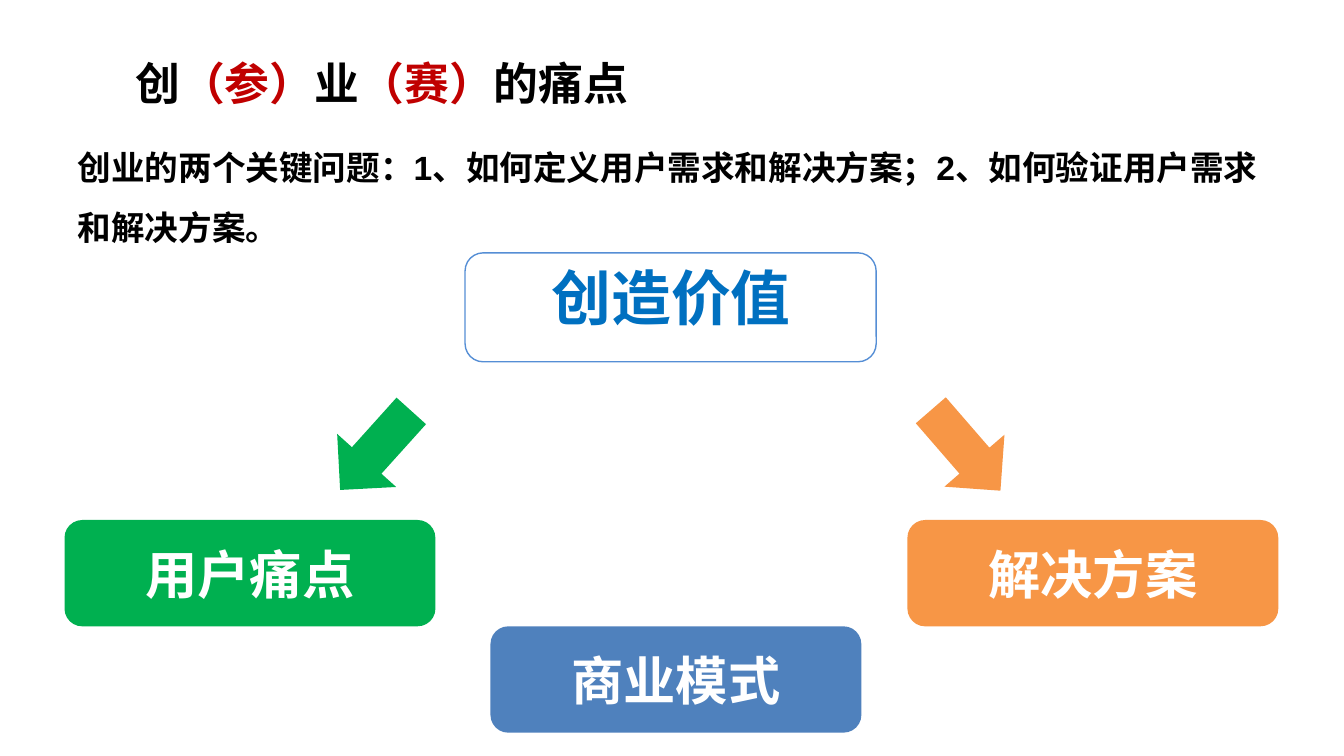
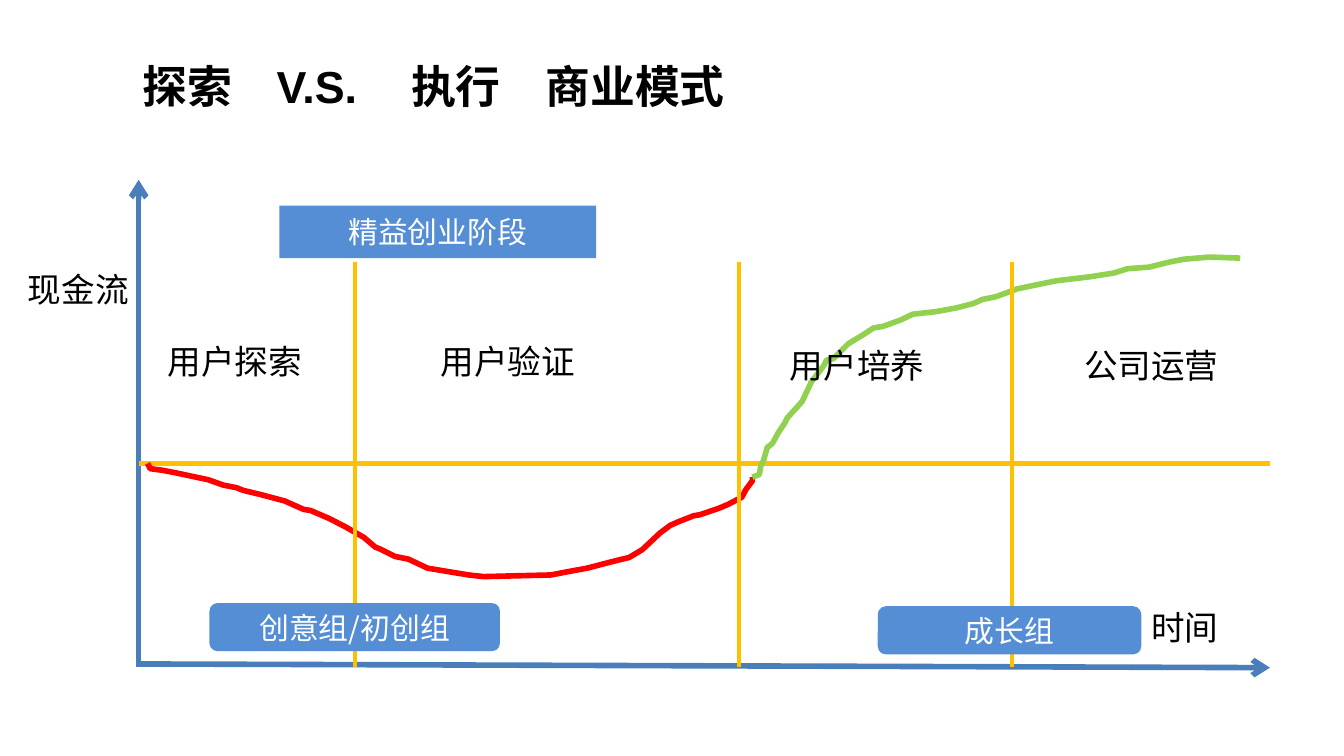
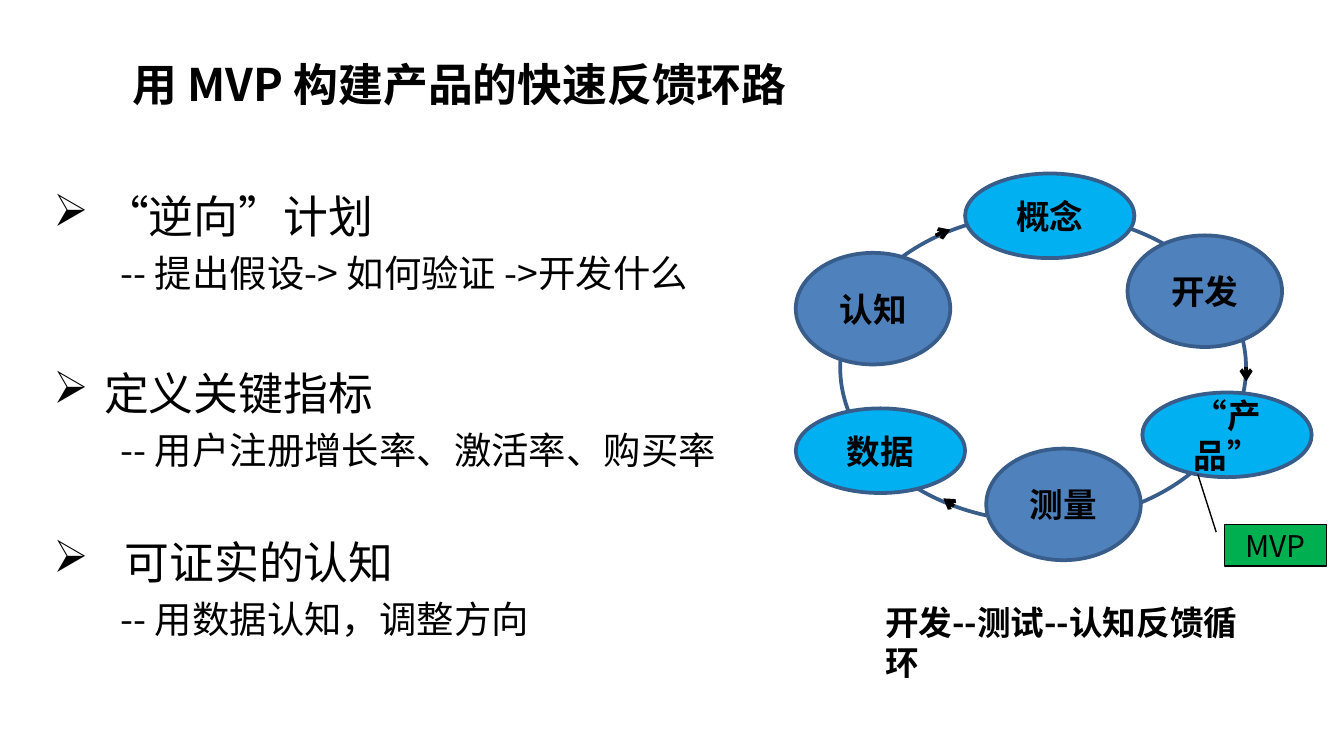
from lxml import etree
from pptx import Presentation
from pptx.dml.color import RGBColor
from pptx.enum.shapes import MSO_CONNECTOR, MSO_SHAPE
from pptx.enum.text import MSO_ANCHOR, PP_ALIGN
from pptx.oxml.ns import qn
from pptx.util import Cm, Pt

RECT, ROUND, OVAL = MSO_SHAPE.RECTANGLE, MSO_SHAPE.ROUNDED_RECTANGLE, MSO_SHAPE.OVAL
ARROW, CALLOUT = MSO_SHAPE.DOWN_ARROW, MSO_SHAPE.LINE_CALLOUT_1
STRAIGHT = MSO_CONNECTOR.STRAIGHT
LEFT, CENTER = PP_ALIGN.LEFT, PP_ALIGN.CENTER
TOP, MIDDLE = MSO_ANCHOR.TOP, MSO_ANCHOR.MIDDLE

SANS, ARIAL, CALIBRI = "Noto Sans CJK SC", "Arial", "Calibri"
COLORS = {
    "black": "000000", "white": "FFFFFF", "crimson": "C00000", "red": "FF0000",
    "green": "00B050", "lime": "92D050", "orange": "F79646", "gold": "FFC000",
    "blue": "4F81BD", "sky": "558ED5", "azure": "0070C0", "cyan": "00B0F0",
    "axis": "4A7EBB", "navy": "385D8A",
}

# Cash flow over time, as (x, y) in cm
LOSS = [
    (2.79, 8.76), (2.84, 8.86), (3.07, 8.89), (3.33, 8.94), (3.94, 9.07),
    (4.22, 9.17), (4.47, 9.22), (4.6, 9.27), (4.93, 9.35), (5.38, 9.47),
    (5.74, 9.63), (5.87, 9.65), (6.22, 9.8), (6.53, 9.96), (6.88, 10.16),
    (7.09, 10.34), (7.21, 10.39), (7.47, 10.52), (7.72, 10.57), (8.08, 10.74),
    (8.56, 10.82), (8.86, 10.87), (9.14, 10.9), (10.41, 10.87), (10.77, 10.8),
    (11.1, 10.74), (11.48, 10.64), (11.76, 10.57), (11.89, 10.54),
    (12.14, 10.39), (12.47, 10.08), (12.67, 9.93), (12.83, 9.86),
    (13.11, 9.75), (13.23, 9.73), (13.61, 9.6), (13.77, 9.53), (14.02, 9.4),
    (14.1, 9.25), (14.22, 9.09), (14.22, 9.02),
]
GAIN = [
    (14.22, 9.02), (14.35, 8.97), (14.38, 8.81), (14.43, 8.71), (14.5, 8.46),
    (14.6, 8.38), (14.71, 8.18), (14.83, 8), (14.88, 7.9), (15.16, 7.59),
    (15.24, 7.42), (15.34, 7.21), (15.42, 7.11), (15.57, 6.91), (15.62, 6.81),
    (15.75, 6.78), (16.03, 6.5), (16.28, 6.35), (16.51, 6.2), (16.69, 6.17),
    (17.02, 6.05), (17.25, 5.94), (17.7, 5.89), (18.08, 5.82), (18.39, 5.74),
    (18.57, 5.66), (18.82, 5.61), (19.23, 5.46), (19.71, 5.36), (19.96, 5.31),
    (20.62, 5.23), (21.06, 5.16), (21.31, 5.08), (21.72, 5.05), (22.12, 4.95),
    (22.38, 4.9), (22.86, 4.86), (23.44, 4.88),
]


def rgb(name):
    return RGBColor.from_string(COLORS[name])


def write(par, text, size=18, color="black", bold=False, font=SANS, align=LEFT,
          left=0, hang=0, bullet=None, tabs=(), before=None, line=None):
    """Fill a paragraph; text is a string or a list of (string, color)."""
    props = par._p.get_or_add_pPr()
    props.set("marL", str(Cm(left)))
    props.set("indent", str(-Cm(hang)))
    if bullet:
        etree.SubElement(props, qn("a:buChar")).set("char", bullet)
    if tabs:
        stops = etree.SubElement(props, qn("a:tabLst"))
        for pos in tabs:
            stop = etree.SubElement(stops, qn("a:tab"))
            stop.set("pos", str(Cm(pos)))
            stop.set("algn", "l")
    par.alignment = align
    if before:
        par.space_before = Pt(before)
    if line:
        par.line_spacing = line
    for words, tint in [(text, color)] if isinstance(text, str) else text:
        run = par.add_run()
        run.text = words
        run.font.size, run.font.bold, run.font.name = Pt(size), bold, font
        run.font.color.rgb = rgb(tint)
        east = etree.SubElement(run._r.get_or_add_rPr(), qn("a:ea"))
        east.set("typeface", SANS)


def label(slide, box, text, anchor=TOP, inset=None, **form):
    frame = slide.shapes.add_textbox(*map(Cm, box)).text_frame
    frame.word_wrap = True
    frame.vertical_anchor = anchor
    if inset is not None:
        frame.margin_top = Cm(inset)
    if text:
        write(frame.paragraphs[0], text, **form)
    return frame


def title(slide, box, text, **form):
    label(slide, box, text, anchor=MIDDLE, size=24, bold=True, **form)


def stroke(line, color, width):
    line.color.rgb = rgb(color)
    line.width = Pt(width)


def block(slide, kind, box, fill=None, text="", line=None, width=2,
          turn=0, adjust=(), **form):
    shape = slide.shapes.add_shape(kind, *map(Cm, box))
    shape.shadow.inherit = False
    shape.rotation = turn
    for i, value in enumerate(adjust):
        shape.adjustments[i] = value
    if fill:
        shape.fill.solid()
        shape.fill.fore_color.rgb = rgb(fill)
    else:
        shape.fill.background()
    if line:
        stroke(shape.line, line, width)
    else:
        shape.line.fill.background()
    if text:
        shape.text_frame.word_wrap = True
        shape.text_frame.vertical_anchor = MIDDLE
        write(shape.text_frame.paragraphs[0], text, align=CENTER, **form)


def link(slide, start, end, color, width, head=False):
    wire = slide.shapes.add_connector(STRAIGHT, *map(Cm, start + end))
    stroke(wire.line, color, width)
    if head:
        tip = etree.SubElement(wire.line._get_or_add_ln(), qn("a:tailEnd"))
        tip.set("type", "arrow")
    etree.SubElement(wire._element.spPr, qn("a:effectLst"))


def curve(slide, points, color):
    dots = [(Cm(x), Cm(y)) for x, y in points]
    pen = slide.shapes.build_freeform(*dots[0], scale=1.0)
    pen.add_line_segments(dots[1:], close=False)
    shape = pen.convert_to_shape()
    shape.shadow.inherit = False
    shape.fill.background()
    stroke(shape.line, color, 3)


def pains(slide):
    title(slide, (2.31, 0.36, 22.86, 2.39),
          [("创", "black"), ("（参）", "crimson"), ("业", "black"),
           ("（赛）", "crimson"), ("的痛点", "black")], font=ARIAL)
    label(slide, (1.22, 2.84, 23.11, 1.4),
          "创业的两个关键问题：1、如何定义用户需求和解决方案；2、如何验证用户需求和解决方案。",
          anchor=MIDDLE, bold=True, font=ARIAL, line=1.5)
    # Value on top
    block(slide, ROUND, (8.79, 4.78, 7.77, 2.06), line="sky", width=0.75)
    label(slide, (4.52, 4.93, 16.33, 2.06), "创造价值", inset=0,
          size=32, color="azure", bold=True, align=CENTER)
    # Parts below
    for x, y, fill, text in [(1.22, 9.83, "green", "用户痛点"),
                             (17.15, 9.83, "orange", "解决方案"),
                             (9.27, 11.84, "blue", "商业模式")]:
        block(slide, ROUND, (x, y, 7.01, 2.01), fill, text,
              size=28, color="white", bold=True)
    for x, fill, turn in [(6.35, "green", 42), (17.5, "orange", 319.1)]:
        block(slide, ARROW, (x, 7.51, 1.5, 2.01), fill, turn=turn)


def stages(slide):
    title(slide, (2.44, 0.91, 21.84, 1.4), "探索\tV.S.\t执行\t商业模式",
          font=ARIAL, tabs=(2.28, 4.5, 6.57))
    # Axes and cash flow
    link(slide, (2.62, 12.55), (24, 12.62), "axis", 3, head=True)
    link(slide, (2.62, 12.6), (2.62, 3.4), "axis", 3, head=True)
    link(slide, (2.62, 8.76), (24, 8.76), "gold", 2.25)
    curve(slide, LOSS, "red")
    curve(slide, GAIN, "lime")
    # Stage names
    for x, y, text in [(2.92, 6.32, "用户探索"), (8.08, 6.32, "用户验证"),
                       (14.68, 6.4, "用户培养"), (20.24, 6.4, "公司运营")]:
        label(slide, (x, y, 3.35, 1.02), text)
    label(slide, (0.28, 4.95, 2.67, 1.02), "现金流")
    label(slide, (21.51, 11.35, 2.67, 1.02), "时间", font=ARIAL)
    # Dividers
    for x in (6.71, 13.97, 19.13):
        link(slide, (x, 4.95), (x, 12.6), "gold", 2.25)
    # Tags
    for kind, box, text in [(RECT, (5.28, 3.89, 5.99, 0.99), "精益创业阶段"),
                            (ROUND, (3.96, 11.4, 5.49, 0.91), "创意组/初创组"),
                            (ROUND, (16.59, 11.46, 4.98, 0.91), "成长组")]:
        block(slide, kind, box, "sky", text, size=16, color="white")


def loop(slide):
    title(slide, (2.26, 0.38, 13.28, 2.39), "用 MVP 构建产品的快速反馈环路")
    # Points: heading, detail, indent, space before
    frame = label(slide, (0.76, 3.4, 14.27, 9.58), "")
    par = frame.paragraphs[0]
    for head, note, left, gap in [
            ("“逆向”计划", "-- 提出假设-> 如何验证 ->开发什么", 0.96, None),
            ("定义关键指标", "-- 用户注册增长率、激活率、购买率", 0.96, 37),
            ("可证实的认知", "-- 用数据认知，调整方向", 1.35, 32.5)]:
        if gap:
            par = frame.add_paragraph()
        write(par, head, size=24, left=left, hang=left, bullet="➢",
              before=gap, line=Pt(30))
        write(frame.add_paragraph(), note, size=20, left=1.27,
              before=4, line=Pt(24))
    # Ring and its steps
    block(slide, OVAL, (15.88, 4.04, 7.67, 5.82), "white", line="navy")
    deed, thing = (2.92, 2.11, "blue"), (3.2, 1.6, "cyan")
    for x, y, (w, h, fill), text in [
            (15.04, 4.78, deed, "认知"), (15.04, 7.72, thing, "数据"),
            (21.31, 4.45, deed, "开发"), (18.64, 8.48, deed, "测量"),
            (18.24, 3.28, thing, "概念"), (21.59, 7.42, thing, "“产品”")]:
        block(slide, OVAL, (x, y, w, h), fill, text, line="navy",
              bold=True, font=CALIBRI)
    for start, end in [((17.68, 4.45), (17.96, 4.34)),
                       ((23.55, 6.93), (23.55, 7.21)),
                       ((17.98, 9.53), (17.83, 9.42))]:
        link(slide, start, end, "black", 2, head=True)
    label(slide, (16.48, 11.25, 7.34, 0.99), "开发--测试--认知反馈循环", bold=True)
    block(slide, CALLOUT, (23.14, 9.91, 1.93, 0.79), "green", "MVP",
          line="black", width=0.75, size=16,
          adjust=(0.19, -0.08, -1.19, -0.26))


def main():
    deck = Presentation()
    deck.slide_width, deck.slide_height = Cm(25.4), Cm(14.29)
    blank = deck.slide_layouts[6]
    for draw in (pains, stages, loop):
        draw(deck.slides.add_slide(blank))
    deck.save("out.pptx")


if __name__ == "__main__":
    main()
